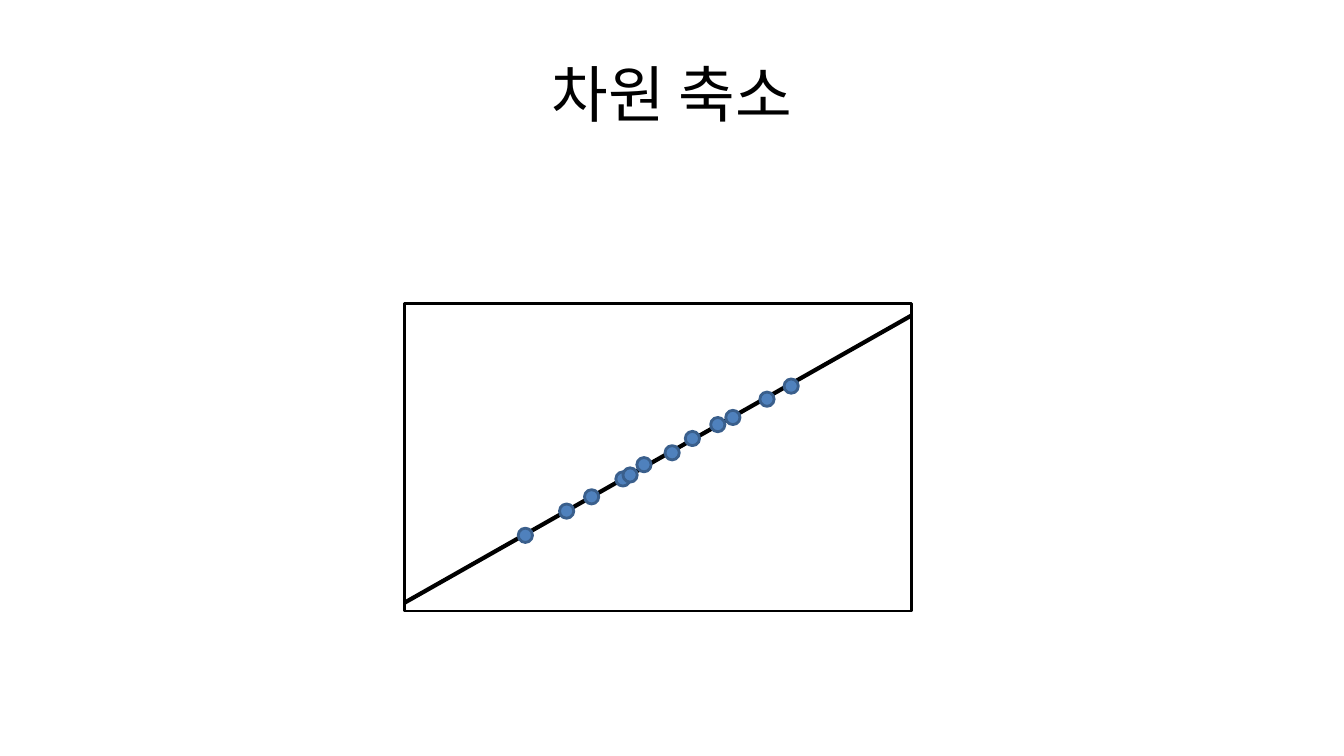
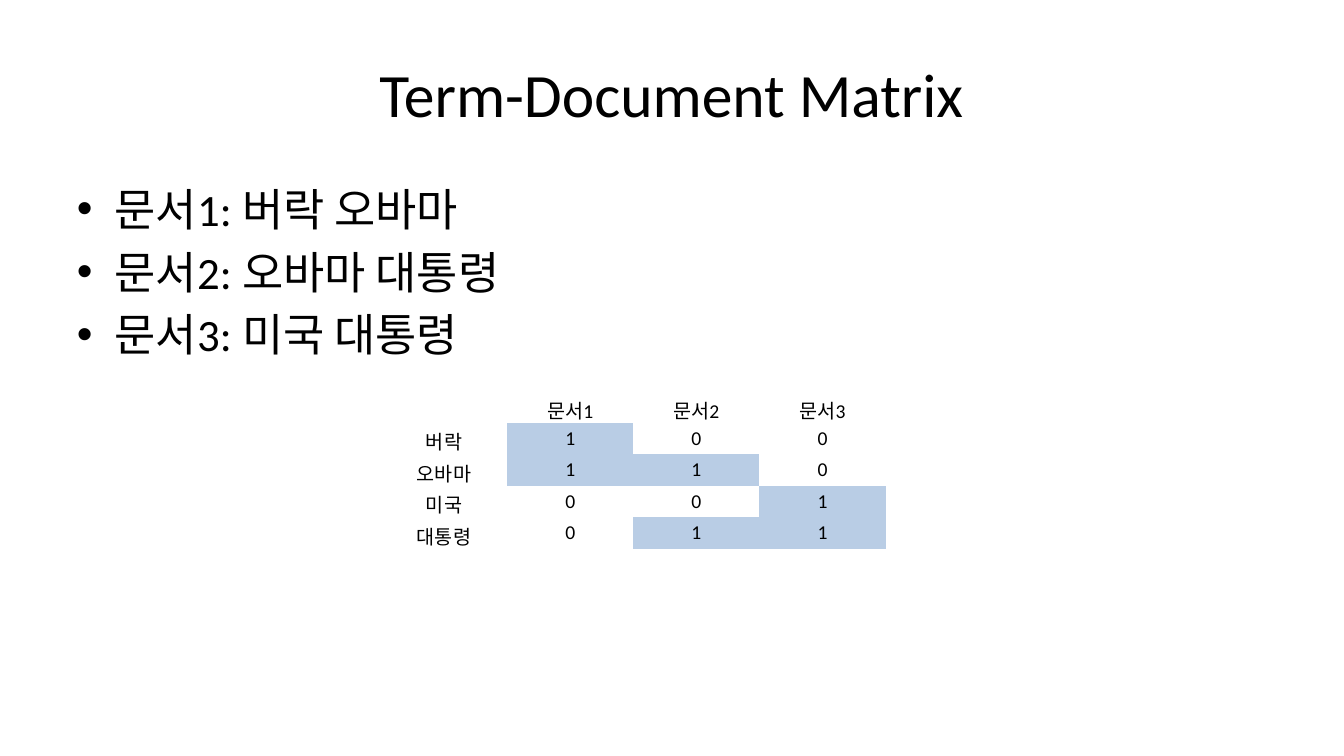
from dataclasses import dataclass

from pptx import Presentation
from pptx.dml.color import RGBColor
from pptx.enum.shapes import MSO_CONNECTOR, MSO_SHAPE
from pptx.enum.text import MSO_ANCHOR, PP_ALIGN
from pptx.oxml.ns import qn
from pptx.oxml.xmlchemy import OxmlElement
from pptx.util import Cm, Pt

STRAIGHT = MSO_CONNECTOR.STRAIGHT
RECTANGLE = MSO_SHAPE.RECTANGLE
OVAL = MSO_SHAPE.OVAL
MIDDLE = MSO_ANCHOR.MIDDLE
TOP = MSO_ANCHOR.TOP
CENTER = PP_ALIGN.CENTER
LEFT = PP_ALIGN.LEFT
PLAIN_TABLE_STYLE = "{2D5ABB26-0587-4C30-8999-92F81FD0307C}"


@dataclass(frozen=True)
class Theme:
    font: str = "Calibri"
    ink: RGBColor = RGBColor(0x00, 0x00, 0x00)
    paper: RGBColor = RGBColor(0xFF, 0xFF, 0xFF)
    dot: RGBColor = RGBColor(0x4F, 0x81, 0xBD)
    dot_edge: RGBColor = RGBColor(0x3A, 0x5F, 0x8C)
    highlight: RGBColor = RGBColor(0xB9, 0xCD, 0xE5)
    title_size: int = 44
    body_size: int = 32
    table_size: int = 14
    outline_width: int = 2
    axis_width: int = 3


THEME = Theme()
MARGIN = 1.69
CONTENT_WIDTH = 30.48
DOT_DIAMETER = 0.36
DOT_POSITIONS = [
    (13.06, 13.31), (14.1, 12.7), (15.52, 11.89), (15.7, 11.79),
    (14.73, 12.34), (16.76, 11.23), (16.05, 11.53), (17.27, 10.87),
    (18.29, 10.34), (19.15, 9.88), (17.91, 10.52), (19.76, 9.55),
]
DOCUMENTS = ["문서1: 버락 오바마", "문서2: 오바마 대통령", "문서3: 미국 대통령"]
TERM_MATRIX = [
    ["", "문서1", "문서2", "문서3"],
    ["버락", "1", "0", "0"],
    ["오바마", "1", "1", "0"],
    ["미국", "0", "0", "1"],
    ["대통령", "0", "1", "1"],
]


def add_run(paragraph, text, size):
    run = paragraph.add_run()
    run.text = text
    run.font.name = THEME.font
    run.font.size = Pt(size)
    run.font.color.rgb = THEME.ink


def add_text_box(slide, top, height, lines, size, anchor, alignment):
    shape = slide.shapes.add_textbox(Cm(MARGIN), Cm(top), Cm(CONTENT_WIDTH), Cm(height))
    frame = shape.text_frame
    frame.word_wrap = True
    frame.vertical_anchor = anchor
    for index, line in enumerate(lines):
        paragraph = frame.add_paragraph() if index else frame.paragraphs[0]
        paragraph.alignment = alignment
        add_run(paragraph, line, size)
    return frame


def add_title(slide, text):
    add_text_box(slide, 0.76, 3.18, [text], THEME.title_size, MIDDLE, CENTER)


def add_bullet_list(slide, lines):
    frame = add_text_box(slide, 4.45, 12.57, lines, THEME.body_size, TOP, LEFT)
    for paragraph in frame.paragraphs:
        paragraph.space_before = Pt(THEME.body_size * 0.2)
        properties = paragraph._p.get_or_add_pPr()
        properties.set("marL", str(Cm(0.95)))
        properties.set("indent", str(-Cm(0.95)))
        font = OxmlElement("a:buFont")
        font.set("typeface", "Arial")
        bullet = OxmlElement("a:buChar")
        bullet.set("char", "•")
        properties.extend([font, bullet])


def add_outlined_shape(slide, kind, left, top, width, height, fill, outline):
    shape = slide.shapes.add_shape(kind, Cm(left), Cm(top), Cm(width), Cm(height))
    shape.shadow.inherit = False
    shape.fill.solid()
    shape.fill.fore_color.rgb = fill
    shape.line.color.rgb = outline
    shape.line.width = Pt(THEME.outline_width)


def add_line(slide, start, end):
    line = slide.shapes.add_connector(STRAIGHT, *map(Cm, start + end))
    line.line.color.rgb = THEME.ink
    line.line.width = Pt(THEME.axis_width)
    line._element.spPr.append(OxmlElement("a:effectLst"))


def fill_cell(cell, text):
    cell.margin_left = cell.margin_right = Cm(0.19)
    cell.margin_top = cell.margin_bottom = Cm(0.1)
    paragraph = cell.text_frame.paragraphs[0]
    paragraph.alignment = CENTER
    if text:
        add_run(paragraph, text, THEME.table_size)
    else:
        end_properties = OxmlElement("a:endParaRPr")
        end_properties.set("sz", str(THEME.table_size * 100))
        paragraph._p.append(end_properties)
    if text == "1":
        cell.fill.solid()
        cell.fill.fore_color.rgb = THEME.highlight
    else:
        cell.fill.background()


def add_matrix(slide, rows, left, top, column_width, row_height):
    row_count, column_count = len(rows), len(rows[0])
    table = slide.shapes.add_table(
        row_count, column_count, Cm(left), Cm(top),
        Cm(column_width * column_count), Cm(row_height * row_count),
    ).table
    table.first_row = False
    table.horz_banding = False
    table._tbl.tblPr.find(qn("a:tableStyleId")).text = PLAIN_TABLE_STYLE
    for row_index, row in enumerate(rows):
        for column_index, text in enumerate(row):
            fill_cell(table.cell(row_index, column_index), text)


def add_titled_slide(presentation, title):
    slide = presentation.slides.add_slide(presentation.slide_layouts[6])
    slide.background.fill.solid()
    slide.background.fill.fore_color.rgb = THEME.paper
    add_title(slide, title)
    return slide


def build_reduction_slide(presentation):
    slide = add_titled_slide(presentation, "차원 축소")
    add_outlined_shape(slide, RECTANGLE, 10.19, 7.65, 12.78, 7.75, THEME.paper, THEME.ink)
    add_line(slide, (10.19, 15.19), (22.97, 7.95))
    for left, top in DOT_POSITIONS:
        add_outlined_shape(slide, OVAL, left, top, DOT_DIAMETER, DOT_DIAMETER,
                           THEME.dot, THEME.dot_edge)


def build_matrix_slide(presentation):
    slide = add_titled_slide(presentation, "Term-Document Matrix")
    add_bullet_list(slide, DOCUMENTS)
    add_matrix(slide, TERM_MATRIX, 9.6, 9.86, 3.18, 0.78)


def main():
    presentation = Presentation()
    presentation.slide_width = Cm(33.87)
    presentation.slide_height = Cm(19.05)
    build_reduction_slide(presentation)
    build_matrix_slide(presentation)
    presentation.save("out.pptx")


main()
